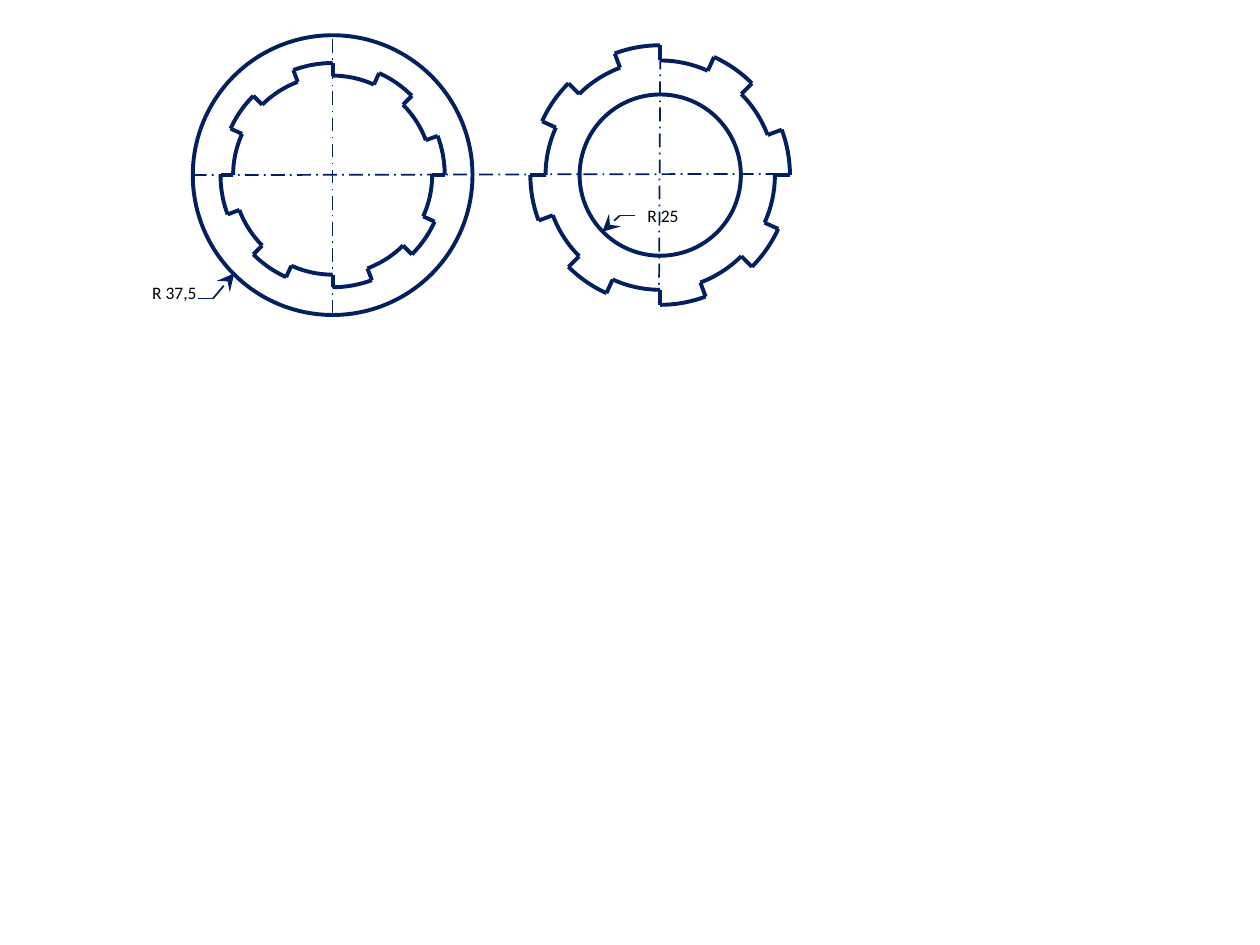
import math
from dataclasses import dataclass

from lxml import etree
from pptx import Presentation
from pptx import util as u
from pptx.dml.color import RGBColor
from pptx.enum import dml, shapes, text
from pptx.oxml.ns import qn


@dataclass
class Theme:
    ink: RGBColor = RGBColor(0x00, 0x20, 0x60)
    label: RGBColor = RGBColor(0, 0, 0)
    font: str = "Calibri"
    label_size: u.Pt = u.Pt(10)
    outline: u.Pt = u.Pt(2.25)
    thin: u.Pt = u.Pt(1)


theme = Theme()
presentation = Presentation()
presentation.slide_width, presentation.slide_height = u.Inches(10), u.Inches(7.5)
slide = presentation.slides.add_slide(presentation.slide_layouts[6])


def add_round(parent, kind, center, radius):
    x, y = center
    shape = parent.add_shape(kind, u.Inches(x - radius), u.Inches(y - radius),
                             u.Inches(2 * radius), u.Inches(2 * radius))
    shape.shadow.inherit = False
    shape.fill.background()
    shape.line.color.rgb = theme.ink
    shape.line.width = theme.outline
    return shape


def add_line(parent, start, end, width, dash=None, arrow=False):
    points = [u.Inches(value) for value in (*start, *end)]
    line = parent.add_connector(shapes.MSO_CONNECTOR.STRAIGHT, *points)
    line.line.color.rgb = theme.ink
    line.line.width = width
    if dash:
        line.line.dash_style = dash
    properties = line._element.spPr
    if arrow:
        etree.SubElement(properties.find(qn("a:ln")), qn("a:tailEnd"),
                         type="stealth", w="lg", len="lg")
    etree.SubElement(properties, qn("a:effectLst"))


# Toothed rings: a low and a high arc in every pitch, joined by radial steps
PITCH, LOW_SWEEP = 45, 24.5
ring_group = slide.shapes.add_group_shape()
rings = [
    # parent, center, circle radius, low radius, high radius
    (ring_group.shapes, (2.64, 1.39), 1.11, 0.79, 0.89),
    (slide.shapes, (5.24, 1.39), 0.64, 0.91, 1.03),
]
for parent, center, circle, low, high in rings:
    add_round(parent, shapes.MSO_SHAPE.OVAL, center, circle)
    for pitch_start in range(0, 360, PITCH):
        pitch_middle = pitch_start + LOW_SWEEP
        for radius, start, end in ((low, pitch_start, pitch_middle),
                                   (high, pitch_middle, pitch_start + PITCH)):
            arc = add_round(parent, shapes.MSO_SHAPE.ARC, center, radius)
            # Arc angles are stored in 60000ths of a degree, adjustments in 100000ths
            arc.adjustments[0] = start * 0.6
            arc.adjustments[1] = end % 360 * 0.6
            direction = math.cos(math.radians(start)), math.sin(math.radians(start))
            step = [[c + r * d for c, d in zip(center, direction)] for r in (low, high)]
            add_line(parent, *step, theme.outline)

# Center lines
for start, end in (((1.53, 1.39), (6.26, 1.38)),
                   ((2.64, 2.49), (2.64, 0.28)),
                   ((5.23, 2.41), (5.24, 0.48))):
    add_line(slide.shapes, start, end, theme.thin, dml.MSO_LINE.LONG_DASH_DOT)

# Radius callouts: leader with arrow, shelf and label
callouts = [
    # label, label corner, shelf end, bend, arrow tip
    ("R 37,5", (1.11, 2.19), (1.57, 2.37), (1.69, 2.37), (1.86, 2.17)),
    ("R 25", (5.04, 1.58), (5.04, 1.71), (4.92, 1.71), (4.78, 1.84)),
]
for label, (left, top), shelf_end, bend, tip in callouts:
    add_line(slide.shapes, bend, tip, theme.thin, arrow=True)
    add_line(slide.shapes, bend, shelf_end, theme.thin)
    box = slide.shapes.add_textbox(u.Inches(left), u.Inches(top),
                                   u.Inches(0.64), u.Inches(0.27))
    box.text_frame.word_wrap = True
    box.text_frame.auto_size = text.MSO_AUTO_SIZE.SHAPE_TO_FIT_TEXT
    paragraph = box.text_frame.paragraphs[0]
    paragraph.text = label
    paragraph.font.name = theme.font
    paragraph.font.size = theme.label_size
    paragraph.font.color.rgb = theme.label

presentation.save("out.pptx")
